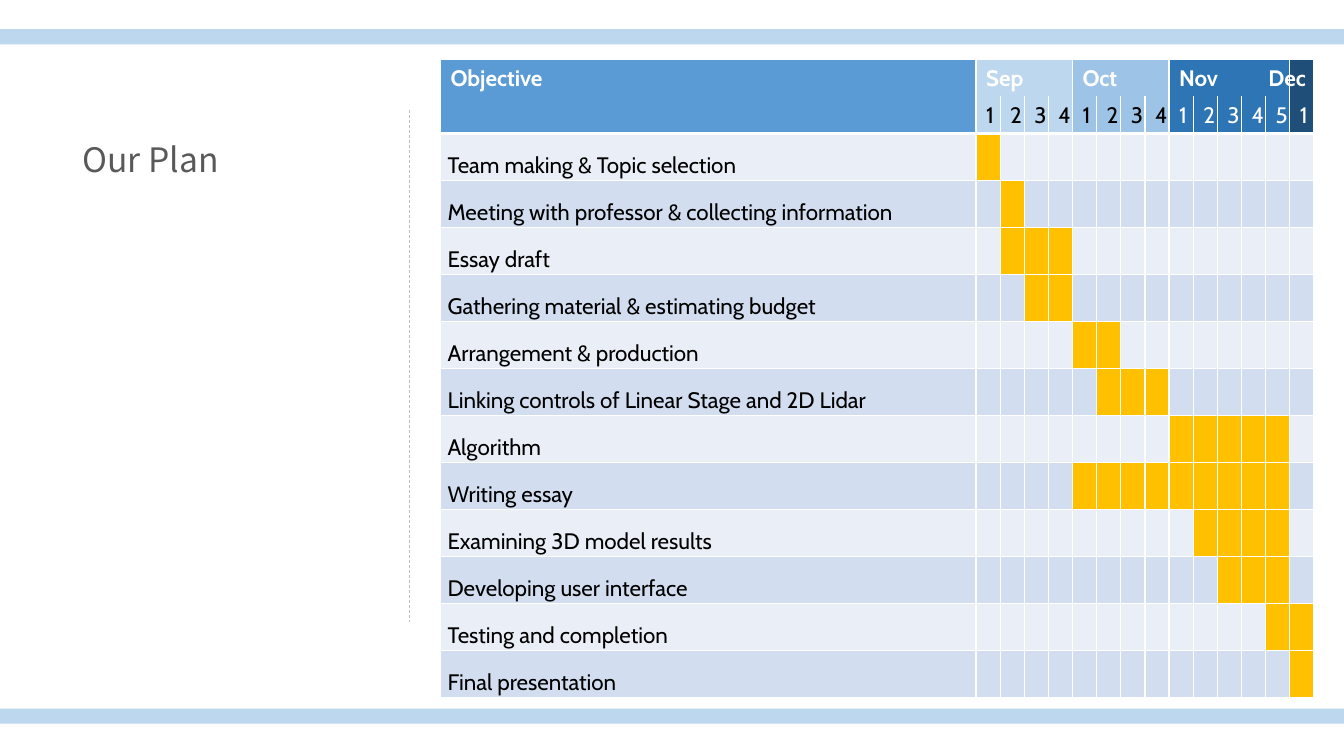
from dataclasses import dataclass

from lxml import etree
from pptx import Presentation
from pptx import util as u
from pptx.dml.color import RGBColor
from pptx.enum import dml, shapes, text
from pptx.oxml import ns


@dataclass(frozen=True)
class Theme:
    band: str = "BDD7EE"
    divider: str = "BFBFBF"
    title: str = "595959"
    header: str = "5B9BD5"
    september: str = "BDD7EE"
    october: str = "9DC3E6"
    november: str = "2E75B6"
    december: str = "1F4E79"
    rows: tuple = ("EAEFF7", "D2DEEF")
    bar: str = "FFC000"
    white: str = "FFFFFF"
    black: str = "000000"
    title_font: str = "Noto Sans CJK KR"
    body_font: str = "Cabin"
    title_size: int = 24
    body_size: int = 16


THEME = Theme()
MONTHS = [
    ("Sep", 4, THEME.september, THEME.black),
    ("Oct", 4, THEME.october, THEME.black),
    ("Nov", 5, THEME.november, THEME.white),
    ("", 1, THEME.december, THEME.white),
]
TASKS = [
    ("Team making & Topic selection", 1, 1),
    ("Meeting with professor & collecting information", 2, 2),
    ("Essay draft", 2, 4),
    ("Gathering material & estimating budget", 3, 4),
    ("Arrangement & production", 5, 6),
    ("Linking controls of Linear Stage and 2D Lidar", 6, 8),
    ("Algorithm", 9, 13),
    ("Writing essay", 5, 13),
    ("Examining 3D model results", 10, 13),
    ("Developing user interface", 11, 13),
    ("Testing and completion", 13, 14),
    ("Final presentation", 14, 14),
]
WEEKS = sum(month[1] for month in MONTHS)


def write_text(frame, content, font=THEME.body_font, size=THEME.body_size,
               color=THEME.white, bold=False, align=text.PP_ALIGN.LEFT, spacing=None):
    paragraph = frame.paragraphs[0]
    paragraph.alignment = align
    if spacing:
        paragraph.line_spacing = spacing
    if not content:
        etree.SubElement(paragraph._p, ns.qn("a:endParaRPr"), sz=str(size * 100))
        return
    run = paragraph.add_run()
    run.text = content
    run.font.name = font
    run.font.size = u.Pt(size)
    run.font.bold = bold
    run.font.color.rgb = RGBColor.from_string(color)


class PlanSlide:
    def __init__(self, presentation, theme):
        self.theme = theme
        self.slide = presentation.slides.add_slide(presentation.slide_layouts[6])

    def band(self, left, top, width, height):
        shape = self.slide.shapes.add_shape(
            shapes.MSO_SHAPE.RECTANGLE, *map(u.Inches, (left, top, width, height)))
        shape.shadow.inherit = False
        shape.fill.solid()
        shape.fill.fore_color.rgb = RGBColor.from_string(self.theme.band)
        shape.line.fill.background()

    def divider(self, left, top, bottom):
        connector = self.slide.shapes.add_connector(
            shapes.MSO_CONNECTOR.STRAIGHT, *map(u.Inches, (left, top, left, bottom)))
        connector.line.color.rgb = RGBColor.from_string(self.theme.divider)
        connector.line.width = u.Pt(0.5)
        connector.line.dash_style = dml.MSO_LINE.DASH
        etree.SubElement(connector._element.spPr, ns.qn("a:effectLst"))

    def label(self, content, left, top, width, height, **style):
        box = self.slide.shapes.add_textbox(*map(u.Inches, (left, top, width, height)))
        box.text_frame.word_wrap = False
        box.text_frame.auto_size = text.MSO_AUTO_SIZE.SHAPE_TO_FIT_TEXT
        write_text(box.text_frame, content, **style)

    def cell(self, cell, fill, content="", top=1, bottom=1, **style):
        properties = cell._tc.get_or_add_tcPr()
        for side, width in (("L", 1), ("R", 1), ("T", top), ("B", bottom)):
            line = etree.SubElement(properties, ns.qn(f"a:ln{side}"), w=str(u.Pt(width)))
            if width:
                solid = etree.SubElement(line, ns.qn("a:solidFill"))
                etree.SubElement(solid, ns.qn("a:srgbClr"), val=self.theme.white)
            else:
                etree.SubElement(line, ns.qn("a:noFill"))
        cell.fill.solid()
        cell.fill.fore_color.rgb = RGBColor.from_string(fill)
        write_text(cell.text_frame, content, **style)

    def schedule(self, left, top, objective_width, weeks_width):
        height = 2 * 0.34 + len(TASKS) * 0.44
        frame = self.slide.shapes.add_table(
            len(TASKS) + 2, WEEKS + 1,
            *map(u.Inches, (left, top, objective_width + weeks_width, height)))
        table = frame.table
        table.first_row = table.horz_banding = False
        for index, column in enumerate(table.columns):
            column.width = u.Inches(weeks_width / WEEKS if index else objective_width)
        for index, row in enumerate(table.rows):
            row.height = u.Inches(0.34 if index < 2 else 0.44)
        self.header(table)
        self.tasks(table)

    def header(self, table):
        self.cell(table.cell(0, 0), self.theme.header, "Objective", bottom=2.25, bold=True)
        self.cell(table.cell(1, 0), self.theme.header, bottom=2.25)
        table.cell(0, 0).merge(table.cell(1, 0))
        first = 1
        for name, weeks, fill, color in MONTHS:
            for week in range(weeks):
                self.cell(table.cell(0, first + week), fill, "" if week else name,
                          bottom=0, bold=True)
                self.cell(table.cell(1, first + week), fill, str(week + 1), top=0,
                          bottom=2.25, color=color, align=text.PP_ALIGN.CENTER)
            if weeks > 1:
                table.cell(0, first).merge(table.cell(0, first + weeks - 1))
            first += weeks

    def tasks(self, table):
        for index, (name, start, end) in enumerate(TASKS):
            fill = self.theme.rows[index % 2]
            top = 1 if index else 2.25
            objective = table.cell(index + 2, 0)
            self.cell(objective, fill, name, top=top, color=self.theme.black,
                      align=text.PP_ALIGN.JUSTIFY, spacing=1.6)
            objective.vertical_anchor = text.MSO_ANCHOR.MIDDLE
            objective.margin_left = objective.margin_right = u.Inches(0.07)
            objective.margin_top = objective.margin_bottom = u.Inches(0.02)
            for week in range(1, WEEKS + 1):
                color = self.theme.bar if start <= week <= end else fill
                self.cell(table.cell(index + 2, week), color, top=top)


def main():
    presentation = Presentation()
    presentation.slide_width = u.Inches(13.33)
    presentation.slide_height = u.Inches(7.5)
    plan = PlanSlide(presentation, THEME)
    for top in (0.29, 7.03):
        plan.band(0, top, 13.33, 0.15)
    plan.divider(4.06, 1.09, 6.17)
    plan.label("Our Plan", 0.72, 1.33, 1.62, 0.5, font=THEME.title_font,
               size=THEME.title_size, color=THEME.title)
    plan.schedule(4.37, 0.59, 5.31, 3.35)
    plan.label("Dec", 12.46, 0.59, 0.59, 0.37, bold=True, align=text.PP_ALIGN.RIGHT)
    presentation.save("out.pptx")


if __name__ == "__main__":
    main()
